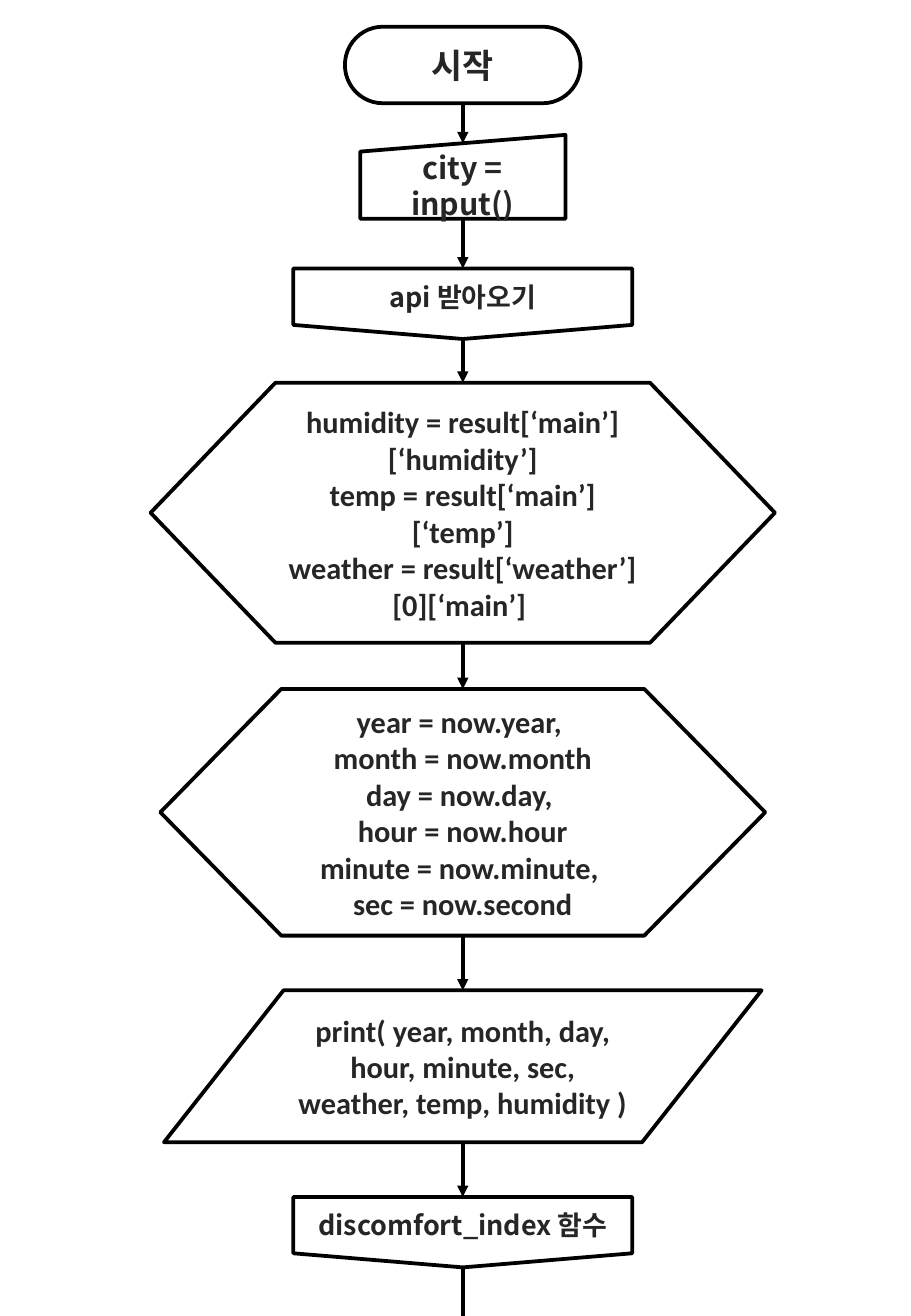
from pptx import Presentation
from pptx.dml.color import RGBColor
from pptx.enum import shapes, text
from pptx.oxml.ns import qn
from pptx.util import Inches, Pt
from lxml import etree

KIND = shapes.MSO_SHAPE
START, INPUT = KIND.FLOWCHART_TERMINATOR, KIND.FLOWCHART_MANUAL_INPUT
CALL, ASSIGN = KIND.FLOWCHART_OFFPAGE_CONNECTOR, KIND.FLOWCHART_PREPARATION
OUTPUT = KIND.FLOWCHART_DATA

# Content: kind, width, top, height, font, size, lines
STEPS = [
    (START, 1.94, 0.22, 0.63, "korean", "large", ["시작"]),
    (INPUT, 1.69, 1.11, 0.69, "korean", "normal", ["city = input()"]),
    (CALL, 2.79, 2.21, 0.58, "korean", "small", ["api 받아오기"]),
    (ASSIGN, 5.14, 3.15, 2.14, "latin", "normal", [
        "humidity = result[‘main’][‘humidity’]",
        "temp = result[‘main’][‘temp’]",
        "weather = result[‘weather’][0][‘main’] "]),
    (ASSIGN, 4.98, 5.67, 2.03, "latin", "normal", [
        "year = now.year, ", "month = now.month", "day = now.day, ",
        "hour = now.hour", "minute = now.minute, ", "sec = now.second"]),
    (OUTPUT, 4.92, 8.15, 1.25, "latin", "normal", [
        "print( year, month, day, hour, minute, sec, weather, temp, humidity )"]),
    (CALL, 2.79, 9.85, 0.58, "korean", "small", ["discomfort_index 함수"]),
]

THEME = {
    "korean": "Noto Sans CJK KR", "latin": "Calibri",
    "large": Pt(20), "normal": Pt(18), "small": Pt(16),
    "text": RGBColor(0x26, 0x26, 0x26), "fill": RGBColor(255, 255, 255),
    "line": RGBColor(0, 0, 0), "line_width": Pt(2.25),
}
WIDTH, HEIGHT, AXIS = 7.5, 10.83, 3.81
SLOPE = 0.1  # drop of the manual input's top edge at its middle


def style_line(line):
    line.color.rgb = THEME["line"]
    line.width = THEME["line_width"]


def add_step(s, kind, width, top, height, font, size, lines):
    sp = s.shapes.add_shape(kind, Inches(AXIS - width / 2), Inches(top),
                            Inches(width), Inches(height))
    sp.shadow.inherit = False
    sp.fill.solid()
    sp.fill.fore_color.rgb = THEME["fill"]
    style_line(sp.line)
    tf = sp.text_frame
    tf.word_wrap = True
    tf.vertical_anchor = text.MSO_ANCHOR.MIDDLE
    tf.text = "\n".join(lines)
    for p in tf.paragraphs:
        p.alignment = text.PP_ALIGN.CENTER
        p.font.name, p.font.size = THEME[font], THEME[size]
        p.font.bold = True
        p.font.color.rgb = THEME["text"]
        # East Asian letters use the same font
        latin = p.font._element.find(qn("a:latin"))
        ea = etree.Element(qn("a:ea"), typeface=THEME[font])
        latin.addnext(ea)
    return sp


def add_flow(s, start, end, arrow=True):
    cx = s.shapes.add_connector(shapes.MSO_CONNECTOR.STRAIGHT, Inches(AXIS),
                                Inches(start), Inches(AXIS), Inches(end))
    style_line(cx.line)
    if arrow:
        etree.SubElement(cx.line._get_or_add_ln(), qn("a:tailEnd"), type="triangle")
    etree.SubElement(cx._element.spPr, qn("a:effectLst"))
    return cx


def main():
    prs = Presentation()
    prs.slide_width, prs.slide_height = Inches(WIDTH), Inches(HEIGHT)
    s = prs.slides.add_slide(prs.slide_layouts[6])

    # Steps, all centred on one axis
    boxes = [add_step(s, *step) for step in STEPS]

    # Arrows between neighbours, joined where a side's middle is a join point
    for i, (a, b) in enumerate(zip(STEPS, STEPS[1:])):
        drop = SLOPE * b[3] if b[0] == INPUT else 0
        cx = add_flow(s, a[2] + a[3], b[2] + drop)
        if a[0] != OUTPUT:
            cx.begin_connect(boxes[i], 2)
        if b[0] not in (INPUT, OUTPUT):
            cx.end_connect(boxes[i + 1], 0)

    # Line that runs on past the foot of the page
    last = STEPS[-1]
    add_flow(s, last[2] + last[3], HEIGHT, arrow=False).begin_connect(boxes[-1], 2)

    prs.save("out.pptx")


if __name__ == "__main__":
    main()
